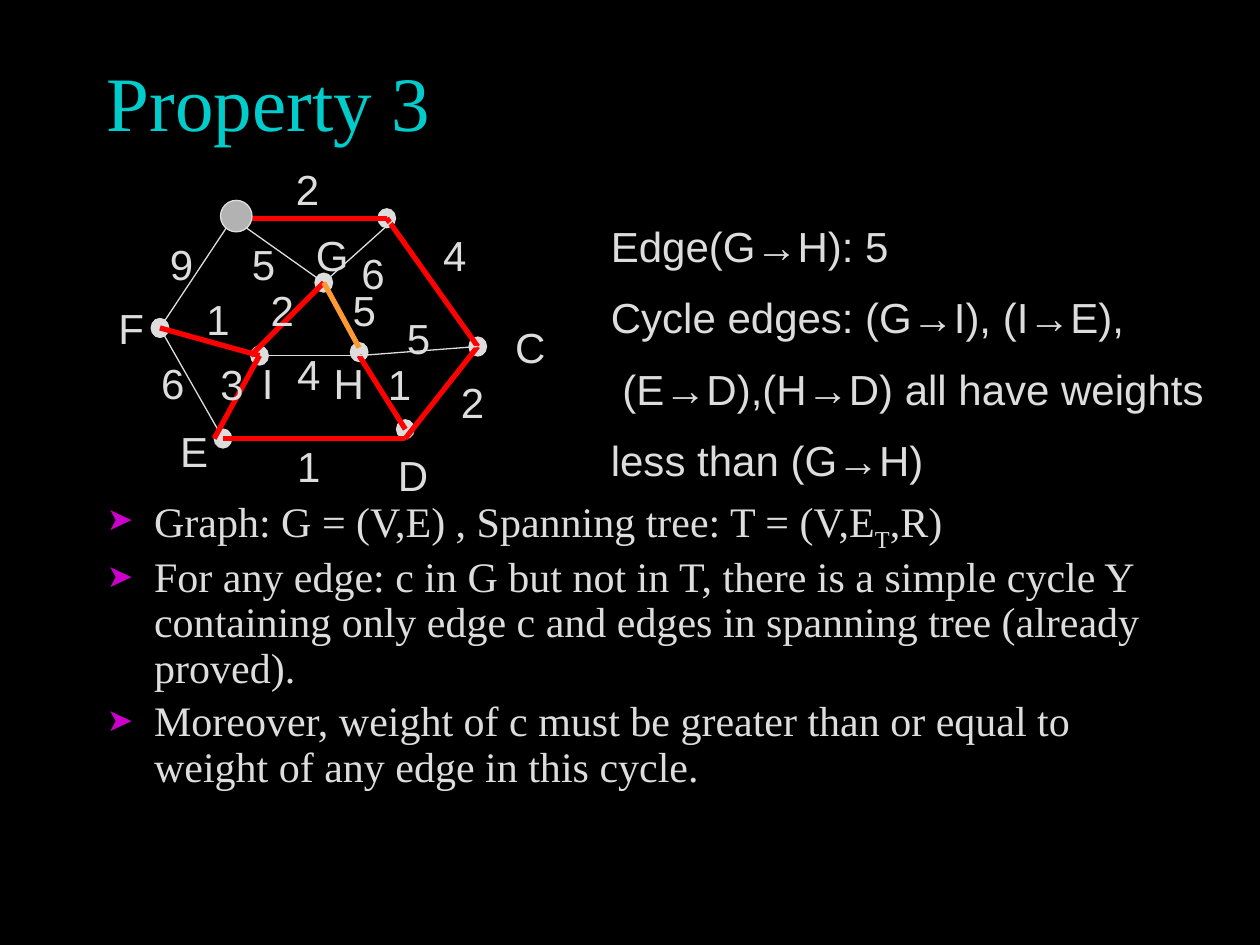
"""Build the Property 3 slide: a weighted graph, its spanning tree and the cycle rule."""
from lxml import etree
from pptx import Presentation
from pptx import util as u
from pptx.dml import color
from pptx.enum import shapes, text
from pptx.oxml import ns

GREY, RED, ORANGE = "DDDDDD", "FF0000", "FF9933"
SANS, SERIF = "Arial", "Times New Roman"


def paint(target, tone):
    """Set a font colour, or make a fill solid in the given tone."""
    if hasattr(target, "solid"):
        target.solid()
        target.fore_color.rgb = color.RGBColor.from_string(tone)
    else:
        target.color.rgb = color.RGBColor.from_string(tone)


def add_text(left, top, width, height, lines, name=SANS, size=24, tone=GREY, before=12, wrap=False):
    """Add a text box with one paragraph per line."""
    box = page.shapes.add_textbox(u.Pt(left), u.Pt(top), u.Pt(width), u.Pt(height))
    frame = box.text_frame
    frame.word_wrap = wrap
    frame.auto_size = text.MSO_AUTO_SIZE.NONE if wrap else text.MSO_AUTO_SIZE.SHAPE_TO_FIT_TEXT
    for index, line in enumerate(lines):
        para = frame.paragraphs[0] if index == 0 else frame.add_paragraph()
        para.add_run().text = line
        para.space_before = u.Pt(before)
        para.font.name, para.font.size = name, u.Pt(size)
        paint(para.font, tone)
    return frame


deck = Presentation()
deck.slide_width, deck.slide_height = u.Pt(720), u.Pt(540)
page = deck.slides.add_slide(deck.slide_layouts[6])
paint(page.background.fill, "000000")

title = add_text(54, 12.25, 612, 90, ["Property 3"], SERIF, 44, "00CCCC", 0, True)
title.vertical_anchor = text.MSO_ANCHOR.MIDDLE

body = add_text(54, 280, 612, 156, [
    "Graph: G = (V,E) , Spanning tree: T = (V,E",
    "For any edge: c in G but not in T, there is a simple cycle Y containing only edge c "
    "and edges in spanning tree (already proved).",
    "Moreover, weight of c must be greater than or equal to weight of any edge in this cycle.",
], SERIF, before=4.8, wrap=True)
for para in body.paragraphs:
    para.line_spacing = 0.9
    props = para.font._element.getparent()
    props.set("marL", str(u.Pt(27)))
    props.set("indent", str(u.Pt(-27)))
    end = props.find(ns.qn("a:defRPr"))
    tint = etree.Element(ns.qn("a:buClr"))
    etree.SubElement(tint, ns.qn("a:srgbClr"), val="CC00CC")
    end.addprevious(tint)
    for tag, key, value in (("a:buSzPct", "val", "75000"), ("a:buFont", "typeface", SANS),
                            ("a:buChar", "char", "➤")):
        end.addprevious(etree.Element(ns.qn(tag), {key: value}))
subscript = body.paragraphs[0].add_run()
subscript.text = "T"
subscript.font._element.set("baseline", "-25000")
body.paragraphs[0].add_run().text = ",R)"

nodes = {
    "A": (133, 124.7), "B": (221, 124.7), "F": (91.4, 187.4), "C": (273, 198),
    "E": (127.4, 250.6), "D": (231.6, 245.3), "G": (185, 161.5), "H": (205.2, 201.2),
    "I": (148.3, 203.2),
}
ends = nodes | {
    "B right": (226, 124.7), "D low": (231.6, 250.6), "E left": (122.4, 250.6),
    "H top": (205.2, 198.7), "H low": (205.2, 203.2), "I left": (143.3, 203.2),
}
edges = [
    ("A", "B", RED), ("B", "C", RED), ("A", "F", GREY), ("F", "E", GREY),
    ("E", "D low", RED), ("D low", "C", RED), ("A", "G", GREY), ("G", "B right", GREY),
    ("G", "I left", RED), ("I", "H low", GREY), ("H top", "G", ORANGE), ("F", "I", RED),
    ("I", "E left", RED), ("H low", "D", RED), ("H low", "C", GREY),
]
labels = [
    ("C", 287.3, 180, 32.4), ("D", 220.3, 253.4, 32.4), ("E", 95.8, 239.8, 31),
    ("F", 60.5, 169.2, 29.5), ("G", 173.5, 127.4, 33), ("H", 183.6, 200.9, 32.4),
    ("I", 142.6, 200.9, 21),
]
weights = [
    ("2", 162, 90), ("4", 246.2, 127.4), ("2", 256.3, 211.7), ("1", 162.7, 248.4),
    ("6", 85, 200.9), ("9", 90, 132.5), ("5", 136.8, 132.5), ("6", 199.4, 138.2),
    ("2", 147.6, 159.1), ("5", 194.4, 159.1), ("4", 162.7, 195.8), ("5", 225.4, 175),
    ("1", 110.9, 164.2), ("3", 118.8, 201.6), ("1", 214.6, 201.6),
]

dots = [(x, y, 10, 10.8, GREY) for x, y in nodes.values()]
dots.append((135, 123.5, 18, 18, "B2B2B2"))
for x, y, width, height, tone in dots:
    dot = page.shapes.add_shape(shapes.MSO_SHAPE.OVAL, u.Pt(x - width / 2), u.Pt(y - height / 2),
                                u.Pt(width), u.Pt(height))
    dot.shadow.inherit = False
    paint(dot.fill, tone)
    paint(dot.line.fill, GREY)
    dot.line.width = u.Pt(0.75)

for start, finish, tone in edges:
    points = [u.Pt(value) for value in ends[start] + ends[finish]]
    edge = page.shapes.add_connector(shapes.MSO_CONNECTOR.STRAIGHT, *points)
    paint(edge.line.fill, tone)
    edge.line.width = u.Pt(0.75 if tone == GREY else 3)
    etree.SubElement(edge._element.spPr, ns.qn("a:effectLst"))

for mark, left, top, width in labels + [(*weight, 28) for weight in weights]:
    add_text(left, top, width, 36, [mark])

page.shapes._spTree.append(dot._element)

add_text(342, 122.4, 363, 172, [
    "Edge(G→H): 5",
    "Cycle edges: (G→I), (I→E),",
    " (E→D),(H→D) all have weights",
    "less than (G→H)",
])

deck.save("out.pptx")
